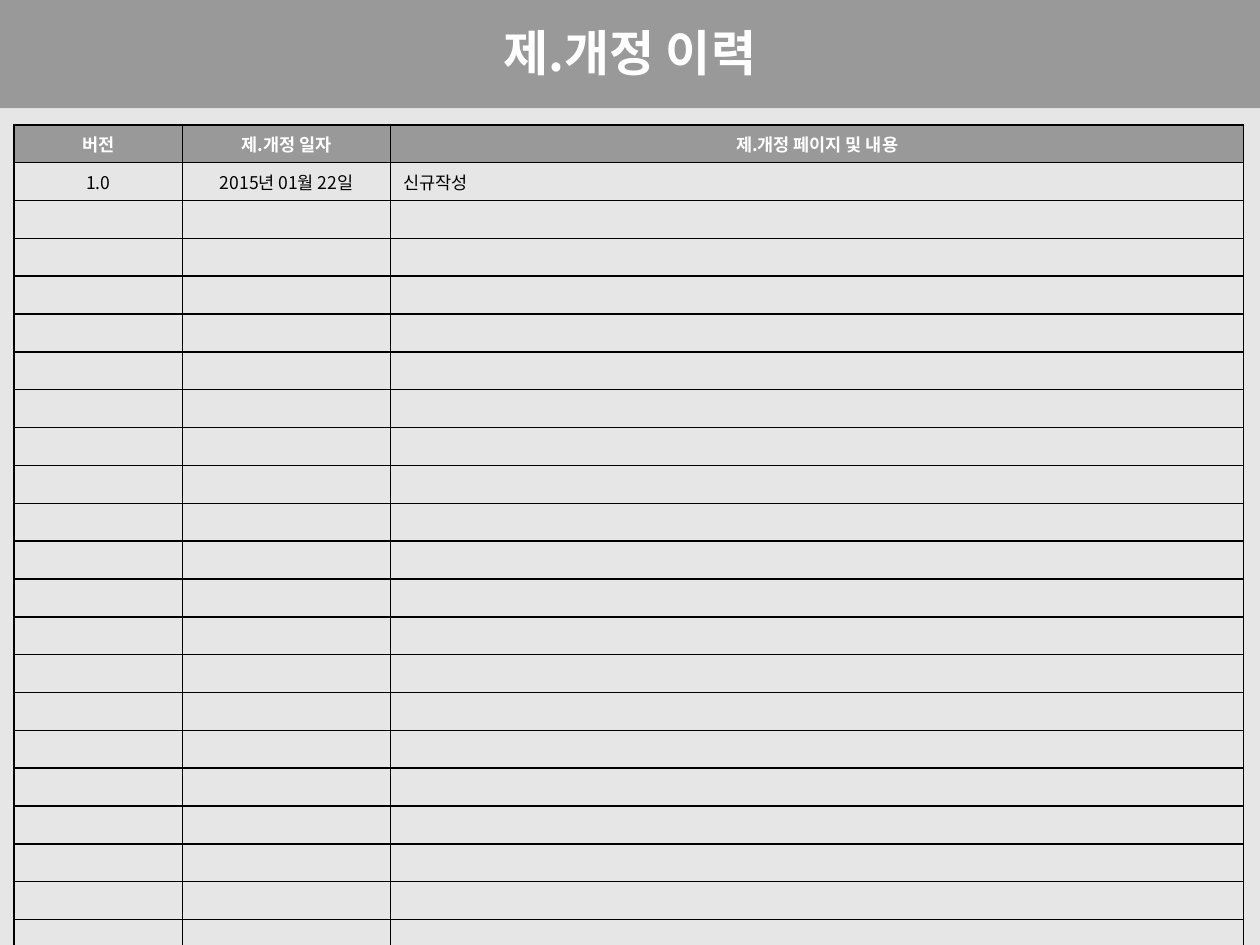
from dataclasses import dataclass

from lxml import etree
from pptx import Presentation
from pptx.dml.color import RGBColor
from pptx.enum.shapes import MSO_SHAPE
from pptx.enum.text import MSO_ANCHOR, PP_ALIGN
from pptx.oxml.ns import qn
from pptx.util import Inches, Pt

CENTER, LEFT = PP_ALIGN.CENTER, PP_ALIGN.LEFT
MIDDLE, TOP = MSO_ANCHOR.MIDDLE, MSO_ANCHOR.TOP
RECT = MSO_SHAPE.RECTANGLE

FONT = "Noto Sans CJK KR"
COLORS = {"page": "E6E6E6", "band": "999999", "light": "FFFFFF", "ink": "000000"}
ROWS = 24
TABLE_HEIGHT = 6.4
BODY_SIZE = 10


@dataclass
class Column:
    heading: str
    first_entry: str
    width: float
    align: PP_ALIGN


COLUMNS = [
    Column("버전", "1.0", 1.34, CENTER),
    Column("제.개정 일자", "2015년 01월 22일", 1.65, CENTER),
    Column("제.개정 페이지 및 내용", "신규작성", 6.77, LEFT),
]


def rgb(name: str) -> RGBColor:
    return RGBColor.from_string(COLORS[name])


def add_typefaces(props) -> None:
    for tag in ("a:latin", "a:ea"):
        etree.SubElement(props, qn(tag)).set("typeface", FONT)


def write(p, text: str, size: float, color: str, bold: bool, align: PP_ALIGN) -> None:
    p.text = text
    p.alignment = align
    for r in p.runs:
        r.font.size = Pt(size)
        r.font.bold = bold
        r.font.color.rgb = rgb(color)
        add_typefaces(r._r.get_or_add_rPr())
    if not text:
        # An empty cell keeps the body size, so that all rows are equally high
        end = etree.SubElement(p._p, qn("a:endParaRPr"))
        end.set("sz", str(size * 100))
        add_typefaces(end)


def set_borders(cell, color: str, width: float) -> None:
    props = cell._tc.get_or_add_tcPr()
    for i, side in enumerate(("lnL", "lnR", "lnT", "lnB")):
        ln = etree.Element(qn(f"a:{side}"), w=str(Pt(width)))
        fill = etree.SubElement(ln, qn("a:solidFill"))
        etree.SubElement(fill, qn("a:srgbClr")).set("val", COLORS[color])
        props.insert(i, ln)


def add_title(slide, text: str, slide_width: int) -> None:
    band = slide.shapes.add_shape(RECT, 0, 0, slide_width, Inches(0.86))
    band.shadow.inherit = False
    band.fill.solid()
    band.fill.fore_color.rgb = rgb("band")
    band.line.fill.background()
    slide.shapes._spTree.insert(2, band._element)  # behind the title

    sp = slide.shapes.title
    sp.left, sp.top = Inches(1.97), Inches(0.13)
    sp.width, sp.height = Inches(6.06), Inches(0.57)
    tf = sp.text_frame
    tf.vertical_anchor = MIDDLE
    p = tf.paragraphs[0]
    write(p, text, 28, "light", True, CENTER)
    p.space_before = Pt(0)


def add_history(slide) -> None:
    width = sum(col.width for col in COLUMNS)
    table = slide.shapes.add_table(
        ROWS, len(COLUMNS), Inches(0.11), Inches(0.99), Inches(width), Inches(TABLE_HEIGHT)
    ).table
    table.horz_banding = False
    for c, col in enumerate(COLUMNS):
        table.columns[c].width = Inches(col.width)
        entries = [col.heading, col.first_entry] + [""] * (ROWS - 2)
        for r, text in enumerate(entries):
            cell = table.cell(r, c)
            header = r == 0
            if header:
                cell.fill.solid()
                cell.fill.fore_color.rgb = rgb("band")
            else:
                cell.fill.background()
            cell.vertical_anchor = MIDDLE if header else TOP
            set_borders(cell, "ink", 1)
            write(cell.text_frame.paragraphs[0], text, BODY_SIZE,
                  "light" if header else "ink", header, CENTER if header else col.align)


def main() -> None:
    prs = Presentation()
    prs.slide_width, prs.slide_height = Inches(10), Inches(7.5)
    slide = prs.slides.add_slide(prs.slide_layouts[5])
    slide.background.fill.solid()
    slide.background.fill.fore_color.rgb = rgb("page")

    add_title(slide, "제.개정 이력", prs.slide_width)
    add_history(slide)
    prs.save("out.pptx")


if __name__ == "__main__":
    main()
